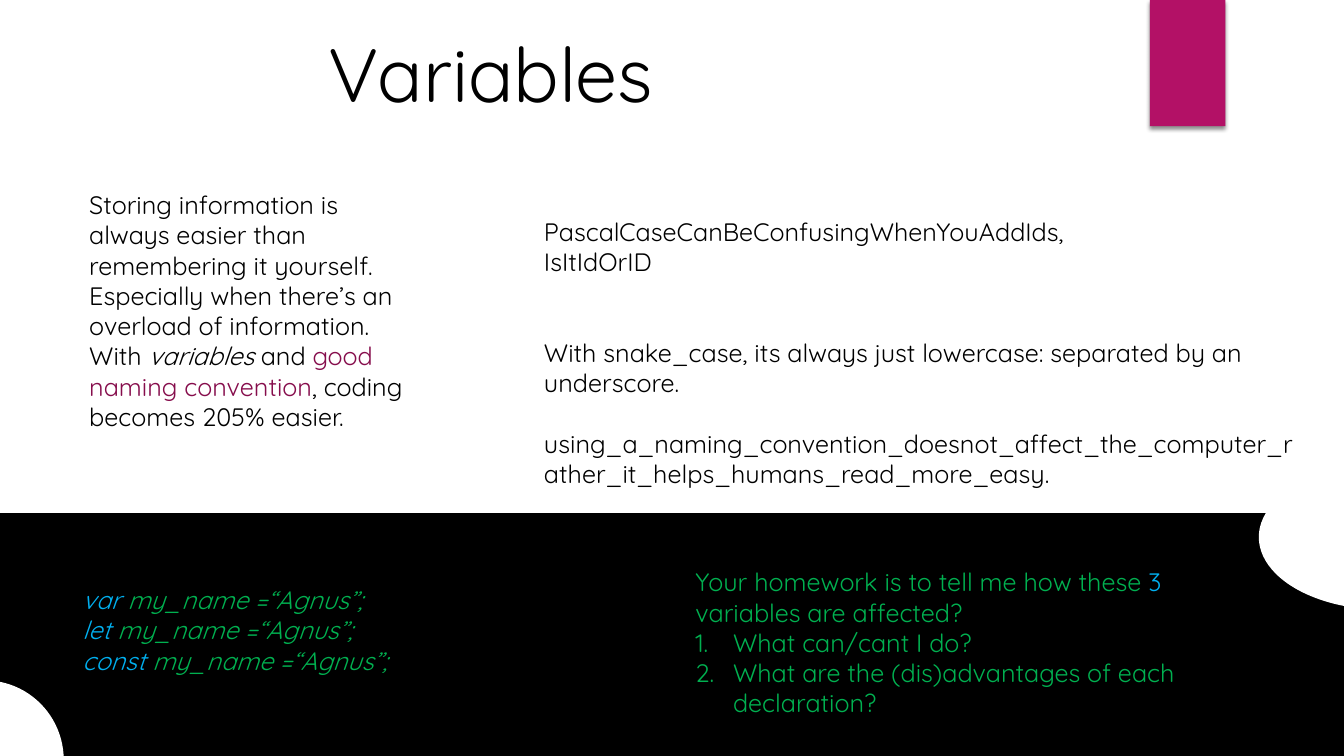
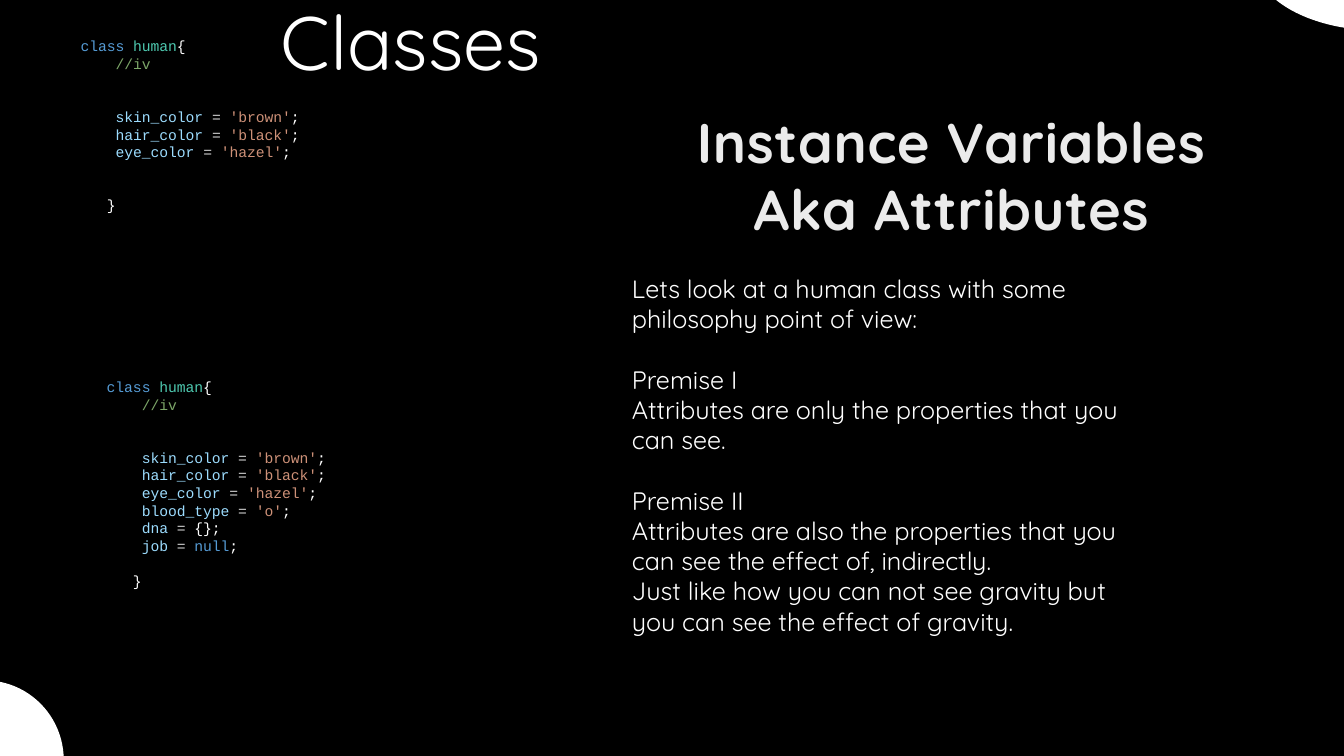
from lxml.etree import SubElement
from pptx import Presentation
from pptx.dml.color import RGBColor
from pptx.enum.shapes import MSO_SHAPE
from pptx.enum.text import MSO_ANCHOR, MSO_AUTO_SIZE, PP_ALIGN
from pptx.oxml.ns import qn
from pptx.util import Cm, Pt

COLORS = {
    "black": "000000",
    "white": "FFFFFF",
    "tab": "B31166",
    "accent": "860D4C",
    "blue": "00B0F0",
    "green": "00B050",
    "heading": "EBEBEB",
    "keyword": "569CD6",
    "class": "4EC9B0",
    "comment": "7CA668",
    "attribute": "9CDCFE",
    "operator": "D4D4D4",
    "string": "CE9178",
}
FONT, CODE_FONT = "Quicksand", "Courier New"
SLIDE_W, SLIDE_H = 33.87, 19.05
LINE_HEIGHT = 1.2
NUMBER_INDENT = Cm(0.95)


def rgb(name):
    return RGBColor.from_string(COLORS[name])


def line(*runs, gap=0, number=False):
    return {"runs": runs, "gap": gap, "number": number}


def add_run(p, text, size=18, color="black", font=FONT, bold=False, italic=False, spacing=0):
    r = p.add_run()
    r.text = text
    r.font.size = Pt(size)
    r.font.name = font
    r.font.bold = bold
    r.font.italic = italic
    r.font.color.rgb = rgb(color)
    if spacing:
        r.font._element.set("spc", str(int(spacing * 100)))


def set_bullet(p, number):
    pPr = p._p.get_or_add_pPr()
    indent = NUMBER_INDENT if number else 0
    pPr.set("marL", str(indent))
    pPr.set("indent", str(-indent))
    if number:
        SubElement(pPr, qn("a:buFont"), typeface="+mj-lt")
        SubElement(pPr, qn("a:buAutoNum"), type="arabicPeriod")
    else:
        SubElement(pPr, qn("a:buNone"))


def write(sp, lines, align=PP_ALIGN.LEFT, wrap=True, size=18, color="black", **style):
    tf = sp.text_frame
    tf.word_wrap = wrap
    tf.auto_size = MSO_AUTO_SIZE.NONE
    tf.vertical_anchor = MSO_ANCHOR.TOP
    pitch = LINE_HEIGHT * size
    for i, item in enumerate(lines):
        p = tf.add_paragraph() if i else tf.paragraphs[0]
        set_bullet(p, item["number"])
        p.alignment = align
        p.line_spacing = Pt(pitch)
        p.space_before = Pt(item["gap"] * pitch)
        p.space_after = Pt(0)
        for run in item["runs"]:
            text, fmt = (run, {}) if isinstance(run, str) else run
            add_run(p, text, **{"size": size, "color": color, **style, **fmt})


def add_text(s, box, lines, **style):
    write(s.shapes.add_textbox(*map(Cm, box)), lines, **style)


def fill_placeholder(s, idx, box, lines, **style):
    ph = s.placeholders[idx]
    ph.element.getparent().append(ph.element)
    ph.left, ph.top, ph.width, ph.height = map(Cm, box)
    write(ph, lines, **style)


def add_title(s, box, text, color):
    fill_placeholder(s, 0, box, [line(text)], size=54, color=color,
                     align=PP_ALIGN.CENTER, wrap=False)


def add_block(s, kind, box, color, outlined=True):
    sp = s.shapes.add_shape(kind, *map(Cm, box))
    sp.shadow.inherit = False
    sp.fill.solid()
    sp.fill.fore_color.rgb = rgb(color)
    if outlined:
        sp.line.color.rgb = rgb(color)
        sp.line.width = Pt(1.5)
    else:
        sp.line.fill.background()
    return sp


def add_panel(s, top):
    add_block(s, MSO_SHAPE.FLOWCHART_PROCESS, (0, top, SLIDE_W, SLIDE_H - top), "black")


def add_corners(s, right_left, right_top):
    for box in ((right_left, right_top, 6.27, 3.61), (-2.36, 17.17, 3.94, 3.96)):
        add_block(s, MSO_SHAPE.OVAL, box, "white")


def add_tab(s):
    sp = add_block(s, MSO_SHAPE.RECTANGLE, (28.98, 0, 1.9, 3.18), "tab", outlined=False)
    effects = sp._element.spPr.find(qn("a:effectLst"))
    shadow = SubElement(effects, qn("a:outerShdw"), blurRad=str(Pt(3)),
                        dist=str(Pt(2)), dir="5400000", rotWithShape="0")
    clr = SubElement(shadow, qn("a:srgbClr"), val=COLORS["black"])
    SubElement(clr, qn("a:alpha"), val="45000")


def tint(text, color, **fmt):
    return text, {"color": color, **fmt}


def assign(name, value, color="string", gap=0):
    return line(tint(f"    {name} ", "attribute"), tint("= ", "operator"),
                tint(value, color), ";", gap=gap)


def add_class_code(s, box, extra=(), end_gap=2):
    lines = [
        line(tint("class ", "keyword"), tint("human", "class"), "{"),
        line(tint("    //iv", "comment")),
        assign("skin_color", "'brown'", gap=2),
        assign("hair_color", "'black'"),
        assign("eye_color", "'hazel'"),
        *extra,
        line("   }", gap=end_gap),
    ]
    add_text(s, box, lines, size=10.5, color="white", font=CODE_FONT)


def build_variables(s):
    add_tab(s)
    add_title(s, (7.8, 0.56, 9.14, 2.57), "Variables", "black")
    add_text(s, (2, 4.65, 8.48, 7.95), [line(
        "Storing information is always easier than remembering it yourself. "
        "Especially when there’s an overload of information. With ",
        ("variables", {"italic": True}), " and ",
        tint("good naming convention", "accent"),
        ", coding becomes 205% easier.")])
    add_text(s, (13.46, 5.33, 19.46, 7.19), [
        line("PascalCaseCanBeConfusingWhenYouAddIds,"),
        line("IsItIdOrID"),
        line("With snake_case, its always just lowercase: separated by an underscore.", gap=2),
        line("using_a_naming_convention_doesnot_affect_the_computer_rather"
             "_it_helps_humans_read_more_easy.", gap=1),
    ])
    add_panel(s, 12.95)
    add_text(s, (1.83, 14.6, 11.89, 4.11),
             [line(tint(f"{word} ", "blue"), "my_name =“Agnus”;")
              for word in ("var", "let", "const")], color="green", italic=True)
    add_corners(s, 31.75, 11.73)
    fill_placeholder(s, 1, (17.27, 14.15, 12.67, 4.11), [
        line("Your homework is to tell me how these ", tint("3", "blue"),
             " variables are affected?"),
        line("What can/cant I do?", number=True),
        line("What are the (dis)advantages of each declaration?", number=True),
    ], color="green")


def build_classes(s):
    add_panel(s, 0)
    add_class_code(s, (1.78, 0.81, 10, 5.2))
    add_corners(s, 31.6, -2.87)
    add_title(s, (6.73, -0.25, 7.26, 2.57), "Classes", "white")
    add_text(s, (17.14, 2.59, 13.67, 3.68),
             [line("Instance Variables"), line("Aka Attributes")], size=40,
             color="heading", bold=True, spacing=0.5, align=PP_ALIGN.CENTER, wrap=False)
    fill_placeholder(s, 1, (15.67, 6.76, 12.88, 9.5), [
        line("Lets look at a human class with some philosophy point of view:"),
        line("Premise I", gap=1),
        line("Attributes are only the properties that you can see."),
        line("Premise II", gap=1),
        line("Attributes are also the properties that you can see the effect of, indirectly."),
        line("Just like how you can not see gravity but you can see the effect of gravity."),
    ], color="white")
    add_class_code(s, (2.44, 9.4, 10, 6.2), extra=(
        assign("blood_type", "'o'"),
        assign("dna", "{}", "white"),
        assign("job", "null", "keyword"),
    ), end_gap=1)


def main():
    prs = Presentation()
    prs.slide_width, prs.slide_height = Cm(SLIDE_W), Cm(SLIDE_H)
    for build in (build_variables, build_classes):
        build(prs.slides.add_slide(prs.slide_layouts[1]))
    prs.save("out.pptx")


if __name__ == "__main__":
    main()
